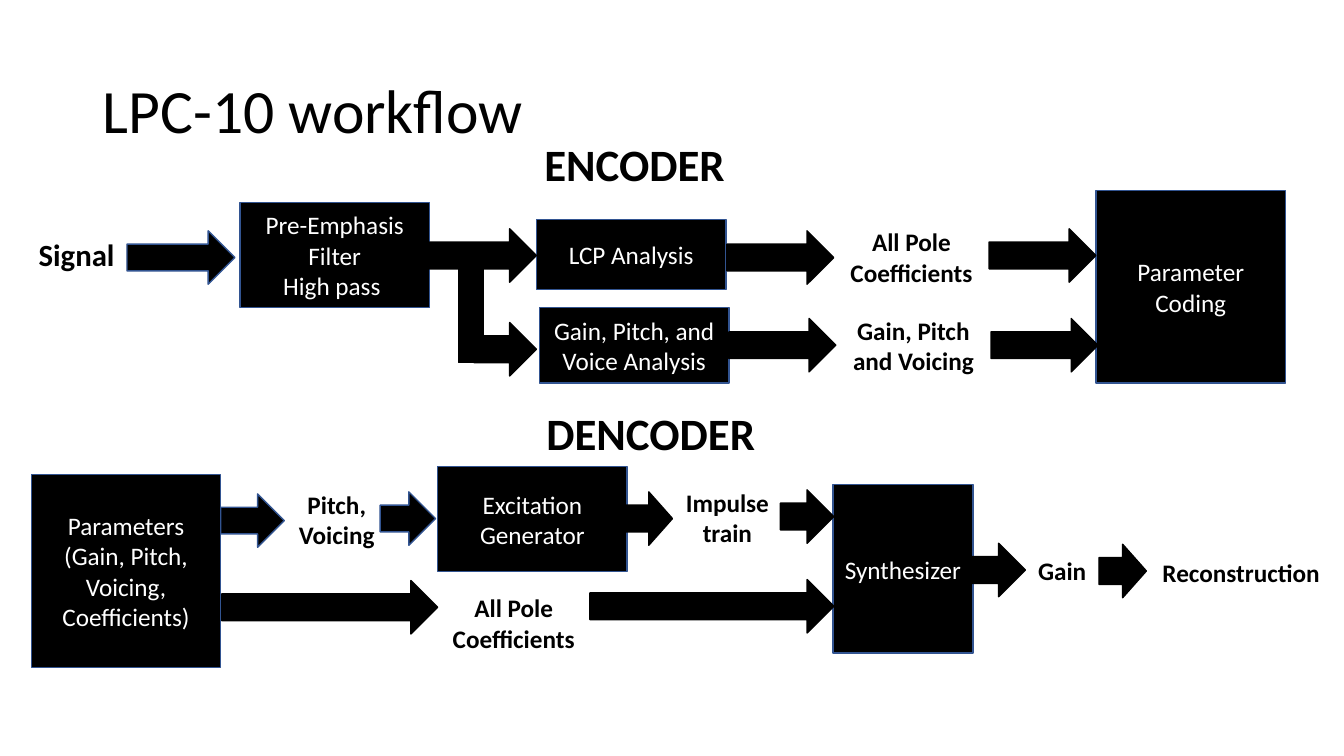
from pptx import Presentation
from pptx.dml.color import RGBColor
from pptx.enum.shapes import MSO_SHAPE
from pptx.enum.text import MSO_ANCHOR, MSO_AUTO_SIZE, PP_ALIGN
from pptx.util import Inches, Pt

COLORS = {"black": "000000", "white": "FFFFFF", "edge": "325491"}
FONT = "Calibri"
ARROW_H = 0.53


class Deck:
    """Holds the style and the current slide."""

    def __init__(self, prs):
        self.slide = prs.slides.add_slide(prs.slide_layouts[5])

    def color(self, name):
        return RGBColor.from_string(COLORS[name])

    def add_text(self, tf, lines, size, color="black", bold=False, align=PP_ALIGN.CENTER):
        for i, line in enumerate(lines):
            p = tf.paragraphs[0] if i == 0 else tf.add_paragraph()
            p.alignment = align
            r = p.add_run()
            r.text = line
            r.font.name = FONT
            r.font.size = Pt(size)
            r.font.bold = bold
            r.font.color.rgb = self.color(color)

    def title(self, text, x, y, w, h):
        sp = self.slide.shapes.title
        sp.left, sp.top, sp.width, sp.height = map(Inches, (x, y, w, h))
        tf = sp.text_frame
        tf.auto_size = MSO_AUTO_SIZE.NONE
        tf.vertical_anchor = MSO_ANCHOR.MIDDLE
        self.add_text(tf, [text], 44, align=PP_ALIGN.LEFT)
        tf.paragraphs[0].line_spacing = 0.9

    def heading(self, text, x, y, w, h=0.64):
        sp = self.slide.shapes.add_textbox(*map(Inches, (x, y, w, h)))
        tf = sp.text_frame
        tf.word_wrap = False
        tf.auto_size = MSO_AUTO_SIZE.SHAPE_TO_FIT_TEXT
        self.add_text(tf, [text], 32, bold=True, align=PP_ALIGN.LEFT)

    def shape(self, kind, x, y, w, h, fill="black", edge="black"):
        sp = self.slide.shapes.add_shape(kind, *map(Inches, (x, y, w, h)))
        sp.shadow.inherit = False
        sp.fill.solid()
        sp.fill.fore_color.rgb = self.color(fill)
        if edge:
            sp.line.color.rgb = self.color(edge)
            sp.line.width = Pt(1)
        else:
            sp.line.fill.background()
        tf = sp.text_frame
        tf.word_wrap = True
        tf.vertical_anchor = MSO_ANCHOR.MIDDLE
        return tf

    def label(self, text, x, y, w, size=18):
        tf = self.shape(MSO_SHAPE.RECTANGLE, x, y, w, 1, "white", None)
        self.add_text(tf, [text], size, bold=True)

    def box(self, lines, x, y, w, h):
        tf = self.shape(MSO_SHAPE.RECTANGLE, x, y, w, h, edge="edge")
        self.add_text(tf, lines, 18, "white")

    def arrow(self, x, y, w, edge="black"):
        self.shape(MSO_SHAPE.RIGHT_ARROW, x, y, w, ARROW_H, edge=edge)


def main():
    prs = Presentation()
    prs.slide_width, prs.slide_height = Inches(13.33), Inches(7.5)
    s = Deck(prs)
    s.title("LPC-10 workflow", 0.92, 0.4, 11.5, 1.45)

    # Signals passed between the blocks
    s.label("Signal", 0.26, 2.02, 1, size=22)
    for text, x, y, w in [
        ("All Pole Coefficients", 8.27, 2.05, 1.54),
        ("Gain, Pitch and Voicing", 8.29, 2.93, 1.54),
        ("Pitch, Voicing", 2.84, 4.65, 1),
        ("All Pole Coefficients", 4.34, 5.68, 1.51),
        ("Impulse train", 6.68, 4.63, 1.07),
        ("Gain", 10.17, 5.16, 0.73),
        ("Reconstruction", 11.37, 5.18, 1.88),
    ]:
        s.label(text, x, y, w)

    # Section headings
    s.heading("ENCODER", 5.3, 1.31, 2.01)
    s.heading("DENCODER", 5.32, 3.98, 2.29)

    # Processing blocks: encoder, then decoder
    for lines, x, y, w, h in [
        (["Pre-Emphasis Filter", "High pass "], 2.38, 2.01, 1.88, 1.04),
        (["LCP Analysis"], 5.32, 2.18, 1.88, 0.69),
        (["Gain, Pitch, and Voice Analysis"], 5.35, 3.05, 1.88, 0.75),
        (["Parameter Coding"], 10.87, 1.89, 1.88, 1.91),
        (["Parameters", "(Gain, Pitch, Voicing, Coefficients)"], 0.31, 4.71, 1.88, 1.91),
        (["Excitation Generator"], 4.34, 4.63, 1.88, 1.04),
        (["Synthesizer"], 8.26, 4.81, 1.39, 1.67),
    ]:
        s.box(lines, x, y, w, h)

    # Arrows with a blue outline
    for x, y, w in [(1.26, 2.29, 1.07), (2.19, 4.9, 0.63), (3.77, 4.88, 0.55)]:
        s.arrow(x, y, w, edge="edge")

    # Encoder arrows, with the branch down to the second analysis
    for x, y, w in [
        (4.26, 2.27, 1.06), (7.21, 2.29, 1.06), (9.81, 2.27, 1.06),
        (4.7, 3.2, 0.62), (7.23, 3.16, 1.06), (9.83, 3.16, 1.06),
    ]:
        s.arrow(x, y, w)
    s.shape(MSO_SHAPE.RECTANGLE, 4.55, 2.6, 0.24, 1)

    # Decoder arrows
    for x, y, w in [
        (6.2, 4.88, 0.47), (7.74, 4.86, 0.53), (2.2, 5.76, 2.14),
        (5.85, 5.75, 2.42), (9.6, 5.39, 0.57), (10.9, 5.4, 0.47),
    ]:
        s.arrow(x, y, w)

    prs.save("out.pptx")


if __name__ == "__main__":
    main()
